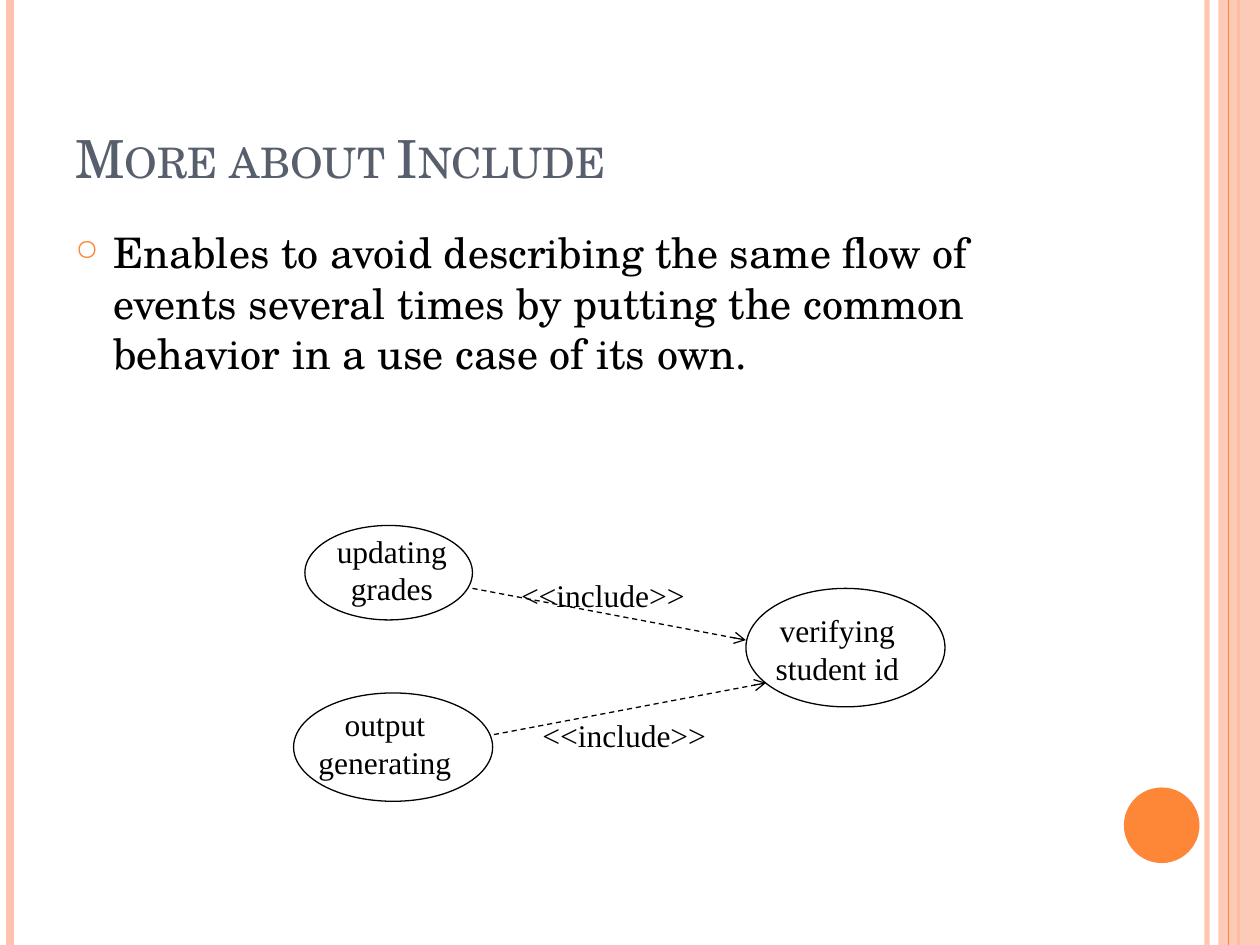
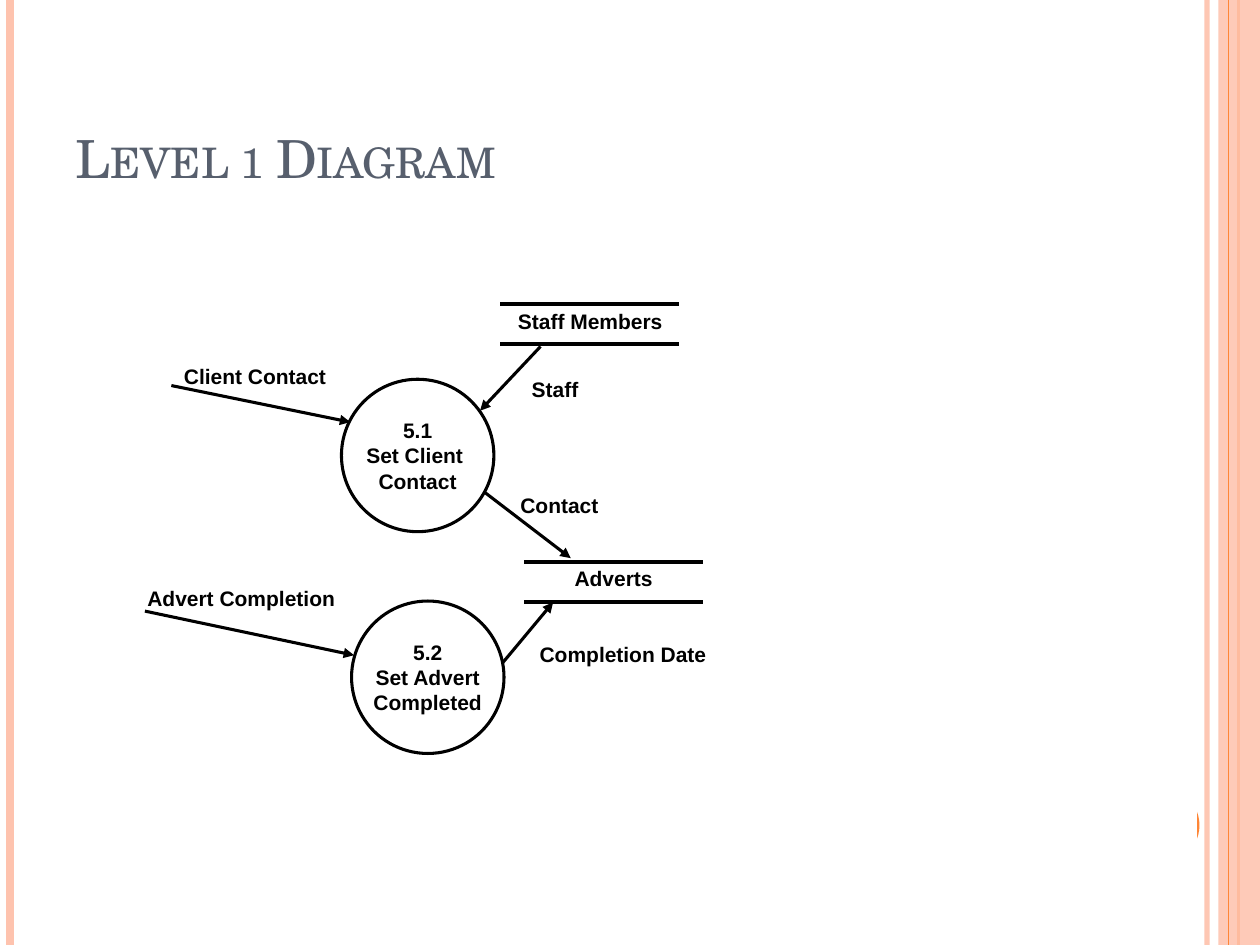
from dataclasses import dataclass

from lxml import etree
from pptx import Presentation
from pptx import util as u
from pptx.dml import color
from pptx.enum import dml, shapes, text
from pptx.oxml.ns import qn

PX = 9144  # 100 px to the inch
COLOURS = {"ink": "000000", "paper": "FFFFFF", "title": "575F6D",
           "peach": "FEC3AE", "orange": "FE8637"}
SCHOLA, TIMES, ARIAL = "TeX Gyre Schola", "Times New Roman", "Arial"


@dataclass(frozen=True)
class Box:
    left: int
    top: int
    width: int
    height: int

    def emu(self) -> list[int]:
        return [v * PX for v in (self.left, self.top, self.width, self.height)]


@dataclass(frozen=True)
class Style:
    font: str
    size: int
    colour: str = "ink"
    bold: bool = False
    centred: bool = True


@dataclass(frozen=True)
class Stroke:
    weight: float
    colour: str = "ink"
    dashed: bool = False
    arrow: str = ""
    opacity: int = 100


@dataclass(frozen=True)
class Line:
    x1: int
    y1: int
    x2: int
    y2: int
    stroke: Stroke


@dataclass(frozen=True)
class UseCase:
    oval: Box
    caption: Box
    lines: list[str]


@dataclass(frozen=True)
class Process:
    left: int
    top: int
    lines: list[str]


@dataclass(frozen=True)
class Store:
    left: int
    top: int
    name: str
    label: Box


TITLE = Style(SCHOLA, 30, "title", centred=False)
BODY = Style(SCHOLA, 24, centred=False)
CASE = Style(TIMES, 18)
FLOW = Style(ARIAL, 12, bold=True)

THIN = Stroke(0.75)
INCLUDE = Stroke(0.75, dashed=True, arrow="arrow")
DATA = Stroke(1.75, arrow="triangle")
RING = Stroke(1.75)
RAIL = Stroke(2.25)

# Slide frame
BAND = Box(967, 0, 33, 750)
DISC = Box(892, 625, 60, 60)
LINES_UNDER_BAND = [(958, Stroke(3, "peach", opacity=93)),
                    (8, Stroke(4.5, "peach")),
                    (983, Stroke(1.5, "orange"))]
LINES_OVER_BAND = [(975, Stroke(0.75, "orange"))]

# Use case diagram
USE_CASES = [
    UseCase(Box(242, 417, 133, 75), Box(250, 417, 122, 70), ["updating", "grades"]),
    UseCase(Box(233, 550, 158, 86), Box(233, 555, 145, 70), ["output", "generating"]),
    UseCase(Box(592, 467, 158, 94), Box(592, 480, 145, 70), ["verifying", "student id"]),
]
INCLUDES = [Line(375, 467, 592, 508, INCLUDE), Line(392, 583, 608, 542, INCLUDE)]
INCLUDE_LABELS = [Box(398, 452, 161, 40), Box(415, 563, 161, 40)]

# Data flow diagram
PROCESS_SIZE = 121
STORE_WIDTH, STORE_HEIGHT = 140, 32
PROCESSES = [Process(271, 301, ["5.1", "Set Client ", "Contact"]),
             Process(279, 477, ["5.2", "Set Advert", "Completed"])]
STORES = [Store(417, 446, "Adverts", Box(446, 444, 82, 30)),
          Store(398, 241, "Staff Members", Box(401, 240, 135, 30))]
FLOWS = [
    ("Advert Completion", Box(107, 460, 169, 30), Line(115, 485, 281, 520, DATA)),
    ("Client Contact", Box(136, 284, 133, 30), Line(136, 306, 278, 335, DATA)),
    ("Contact", Box(403, 386, 82, 30), Line(385, 391, 453, 443, DATA)),
    ("Staff", Box(412, 294, 57, 30), Line(429, 275, 381, 326, DATA)),
    ("Completion Date", Box(418, 504, 153, 30), Line(399, 526, 439, 478, DATA)),
]


def rgb(name: str) -> color.RGBColor:
    return color.RGBColor.from_string(COLOURS[name])


def set_opacity(parent, percent: int) -> None:
    """Make the solid colour inside a fill or line element translucent."""
    if percent < 100:
        colour = next(parent.iter(qn("a:srgbClr")))
        etree.SubElement(colour, qn("a:alpha"), val=str(percent * 1000))


def apply_stroke(line, stroke: Stroke) -> None:
    line.color.rgb = rgb(stroke.colour)
    line.width = u.Pt(stroke.weight)
    if stroke.dashed:
        line.dash_style = dml.MSO_LINE.DASH


def add_line(page, line: Line) -> None:
    ends = [v * PX for v in (line.x1, line.y1, line.x2, line.y2)]
    connector = page.shapes.add_connector(shapes.MSO_CONNECTOR.STRAIGHT, *ends)
    apply_stroke(connector.line, line.stroke)
    properties = connector._element.spPr
    outline = properties.find(qn("a:ln"))
    set_opacity(outline, line.stroke.opacity)
    if line.stroke.arrow:
        etree.SubElement(outline, qn("a:tailEnd"), type=line.stroke.arrow)
    etree.SubElement(properties, qn("a:effectLst"))


def add_figure(page, kind, box: Box, fill: str = "", stroke: Stroke | None = None,
               opacity: int = 100):
    figure = page.shapes.add_shape(kind, *box.emu())
    figure.shadow.inherit = False
    if fill:
        figure.fill.solid()
        figure.fill.fore_color.rgb = rgb(fill)
        set_opacity(figure._element.spPr, opacity)
    else:
        figure.fill.background()
    if stroke:
        apply_stroke(figure.line, stroke)
    else:
        figure.line.fill.background()
    return figure


def write(frame, lines: list[str], style: Style) -> None:
    for index, words in enumerate(lines):
        para = frame.paragraphs[0] if index == 0 else frame.add_paragraph()
        para.alignment = text.PP_ALIGN.CENTER if style.centred else text.PP_ALIGN.LEFT
        span = para.add_run()
        span.text = words
        span.font.name = style.font
        span.font.size = u.Pt(style.size)
        span.font.bold = style.bold
        span.font.color.rgb = rgb(style.colour)


def add_text(page, box: Box, lines: list[str], style: Style, wrap: bool = False):
    frame = page.shapes.add_textbox(*box.emu()).text_frame
    frame.word_wrap = wrap
    write(frame, lines, style)
    return frame


def add_bullet(para) -> None:
    para.space_before = u.Pt(6)
    properties = para._p.get_or_add_pPr()
    properties.set("marL", str(30 * PX))
    properties.set("indent", str(-30 * PX))
    tint = etree.SubElement(properties, qn("a:buClr"))
    etree.SubElement(tint, qn("a:srgbClr"), val=COLOURS["orange"])
    etree.SubElement(properties, qn("a:buSzPct"), val="70000")
    etree.SubElement(properties, qn("a:buChar"), char="○")


def add_page(deck, title: str):
    """Start a slide with the side bands, the disc and the title."""
    page = deck.slides.add_slide(deck.slide_layouts[6])
    for x, stroke in LINES_UNDER_BAND:
        add_line(page, Line(x, 0, x, 750, stroke))
    add_figure(page, shapes.MSO_SHAPE.RECTANGLE, BAND, "peach", opacity=87)
    for x, stroke in LINES_OVER_BAND:
        add_line(page, Line(x, 0, x, 750, stroke))
    add_figure(page, shapes.MSO_SHAPE.OVAL, DISC, "orange")
    frame = add_text(page, Box(50, 30, 817, 125), [title], TITLE, wrap=True)
    frame.vertical_anchor = text.MSO_ANCHOR.BOTTOM
    frame.paragraphs[0].runs[0].font._element.set("cap", "small")
    return page


def add_process(page, process: Process) -> None:
    box = Box(process.left, process.top, PROCESS_SIZE, PROCESS_SIZE)
    circle = add_figure(page, shapes.MSO_SHAPE.OVAL, box, "paper", RING)
    circle.text_frame.word_wrap = False
    circle.text_frame.vertical_anchor = text.MSO_ANCHOR.MIDDLE
    write(circle.text_frame, process.lines, FLOW)


def add_store(page, store: Store) -> None:
    box = Box(store.left, store.top, STORE_WIDTH, STORE_HEIGHT)
    add_figure(page, shapes.MSO_SHAPE.RECTANGLE, box, "paper")
    for y in (store.top, store.top + STORE_HEIGHT):
        add_line(page, Line(store.left - 1, y, store.left + STORE_WIDTH + 1, y, RAIL))
    add_text(page, store.label, [store.name], FLOW)


def build_include(deck) -> None:
    page = add_page(deck, "More about Include")
    body = add_text(page, Box(50, 175, 817, 533), [
        "Enables to avoid describing the same flow of events several times "
        "by putting the common behavior in a use case of its own."], BODY, wrap=True)
    add_bullet(body.paragraphs[0])
    for case in USE_CASES:
        add_figure(page, shapes.MSO_SHAPE.OVAL, case.oval, stroke=THIN)
        add_text(page, case.caption, case.lines, CASE, wrap=True)
    for line in INCLUDES:
        add_line(page, line)
    for box in INCLUDE_LABELS:
        add_text(page, box, ["<<include>>"], CASE)


def build_level_one(deck) -> None:
    page = add_page(deck, "Level 1 Diagram")
    # White diagram area, lying over the disc
    add_figure(page, shapes.MSO_SHAPE.RECTANGLE, Box(42, 212, 908, 479), "paper")
    for process in PROCESSES:
        add_process(page, process)
    for store in STORES:
        add_store(page, store)
    for name, label, line in FLOWS:
        add_line(page, line)
        add_text(page, label, [name], FLOW)


def main() -> None:
    deck = Presentation()
    deck.slide_width, deck.slide_height = 1000 * PX, 750 * PX
    build_include(deck)
    build_level_one(deck)
    deck.save("out.pptx")


if __name__ == "__main__":
    main()
